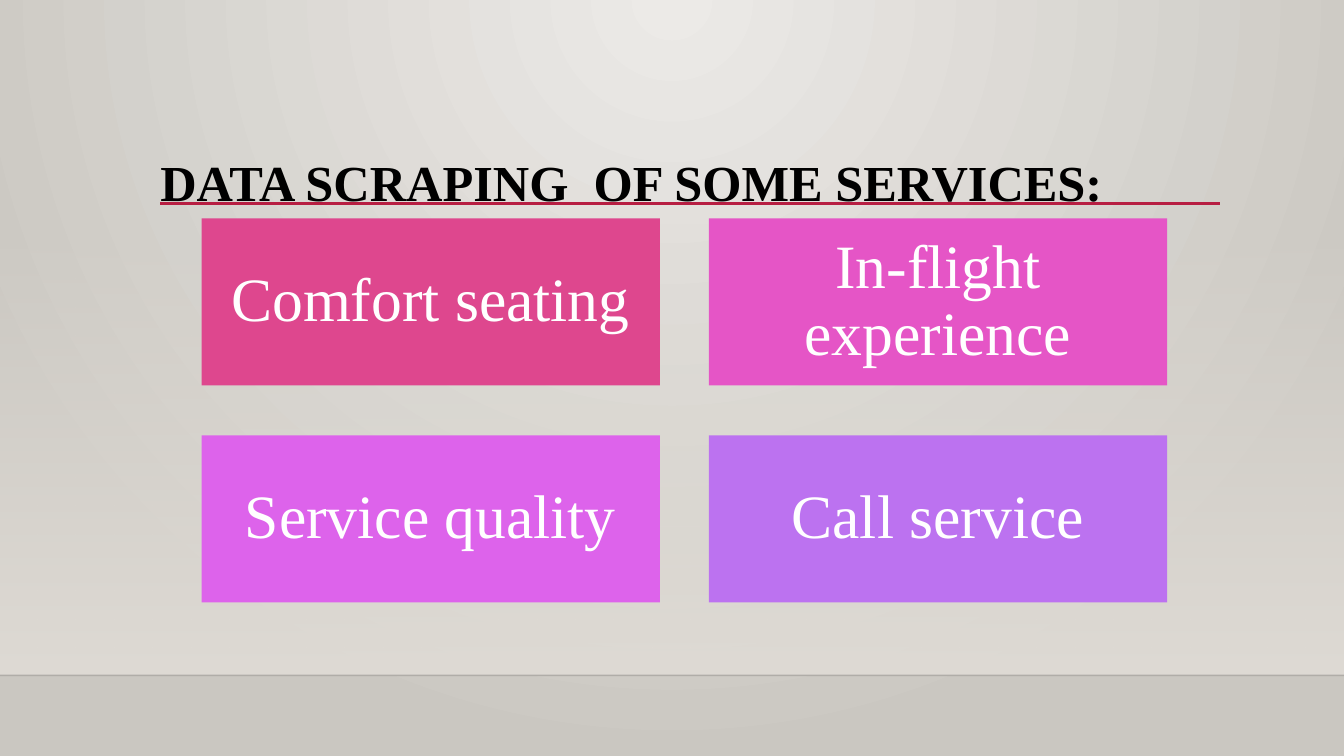
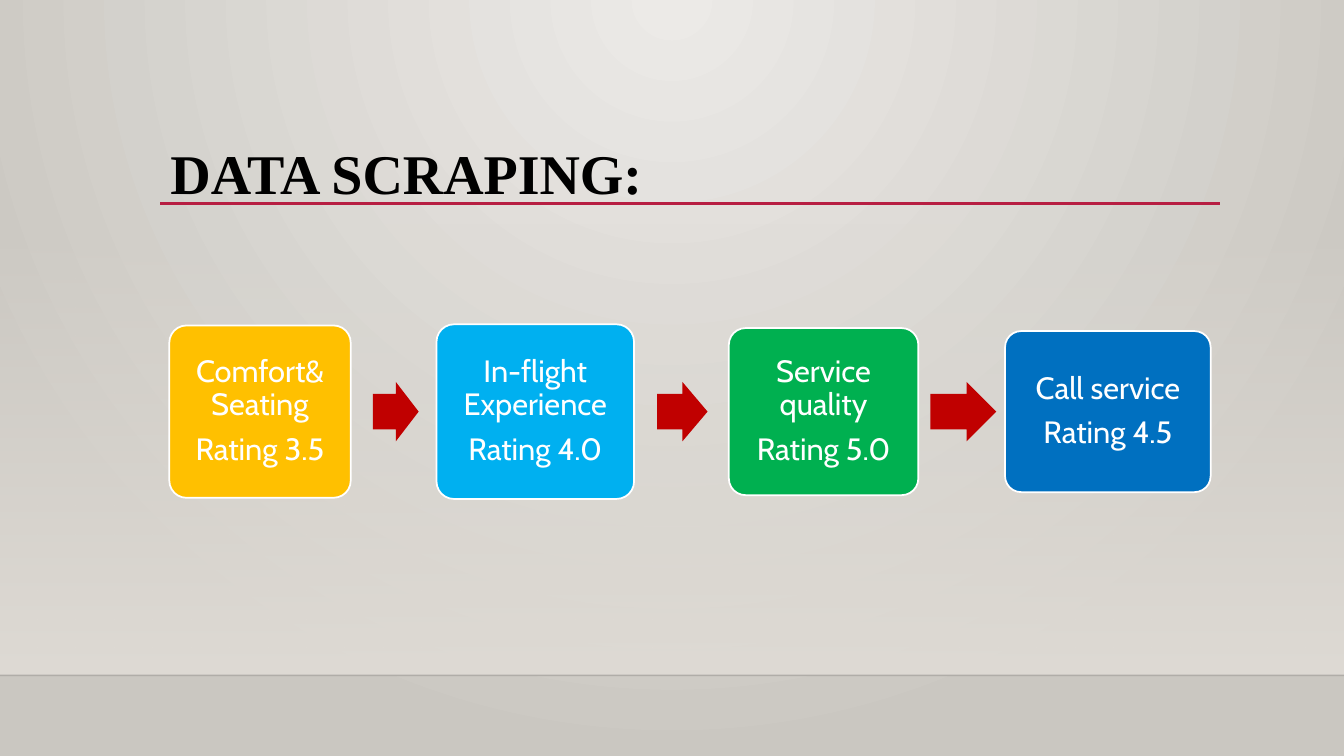
from pptx import Presentation
from pptx.dml.color import RGBColor
from pptx.enum.shapes import MSO_CONNECTOR, MSO_SHAPE
from pptx.enum.text import MSO_ANCHOR, MSO_AUTO_SIZE, PP_ALIGN
from pptx.oxml import parse_xml
from pptx.oxml.ns import nsdecls, qn
from pptx.oxml.xmlchemy import OxmlElement
from pptx.util import Inches, Pt

WIDE, HIGH = Inches(13.333), Inches(7.5)

BLACK = RGBColor(0x00, 0x00, 0x00)
WHITE = RGBColor(0xFF, 0xFF, 0xFF)
GLOW = RGBColor(0xEC, 0xEA, 0xE7)
EDGE = RGBColor(0xCA, 0xC7, 0xC1)
SAND = RGBColor(0xDF, 0xDB, 0xD5)
RULE = RGBColor(0xB7, 0x1E, 0x42)
ROSE = RGBColor(0xDE, 0x47, 0x8E)
PINK = RGBColor(0xE5, 0x55, 0xC6)
ORCHID = RGBColor(0xDD, 0x63, 0xEB)
VIOLET = RGBColor(0xBC, 0x72, 0xF0)
AMBER = RGBColor(0xFF, 0xC0, 0x00)
SKY = RGBColor(0x00, 0xB0, 0xF0)
GREEN = RGBColor(0x00, 0xB0, 0x50)
BLUE = RGBColor(0x00, 0x70, 0xC0)
RED = RGBColor(0xC0, 0x00, 0x00)

SERIF, SANS = "Times New Roman", "Cabin"
FLOOR = 89.33
MID = 54.45

TITLE_FONT = {"name": SERIF, "bold": True}
TITLE_FRAME = {"word_wrap": True, "auto_size": MSO_AUTO_SIZE.NONE,
               "vertical_anchor": MSO_ANCHOR.TOP}
TITLE_PARA = {"alignment": PP_ALIGN.LEFT, "line_spacing": 0.9}
CARD_FRAME = {"word_wrap": True, "vertical_anchor": MSO_ANCHOR.MIDDLE}
CARD_PARA = {"alignment": PP_ALIGN.CENTER, "line_spacing": 0.9}

TILES = [("Comfort seating", ROSE), ("In-flight experience", PINK),
         ("Service quality", ORCHID), ("Call service", VIOLET)]
STEPS = [("Comfort& Seating", "Rating 3.5", AMBER, 12.6, 13.5, 22.8),
         ("In-flight Experience", "Rating 4.0", SKY, 32.48, 14.7, 23.1),
         ("Service quality", "Rating 5.0", GREEN, 54.23, 14.1, 22.1),
         ("Call service", "Rating 4.5", BLUE, 74.78, 15.3, 21.3)]
ARROWS = [(27.75, 3.4), (48.9, 3.75), (69.23, 4.9)]


def across(share):
    return round(WIDE * share / 100)


def down(share):
    return round(HIGH * share / 100)


def place(x, y, w, h):
    return across(x), down(y), across(w), down(h)


def style(item, values):
    for name, value in values.items():
        setattr(item, name, value)


def fade(stops, course):
    marks = "".join(
        f'<a:gs pos="{pos * 1000}"><a:srgbClr val="{tone}">'
        f'<a:alpha val="{alpha * 1000}"/></a:srgbClr></a:gs>'
        for pos, tone, alpha in stops)
    return parse_xml(f'<a:gradFill {nsdecls("a")} rotWithShape="1">'
                     f'<a:gsLst>{marks}</a:gsLst>{course}</a:gradFill>')


def swap(root, new):
    old = root.find(qn("a:solidFill"))
    root.replace(old, new)


def add_block(slide, kind, box, fill, edge=None, adjust=()):
    block = slide.shapes.add_shape(kind, *box)
    block.shadow.inherit = False
    block.fill.solid()
    block.fill.fore_color.rgb = fill
    if edge is None:
        block.line.fill.background()
    else:
        block.line.color.rgb = edge
        block.line.width = Pt(1.25)
    for i, value in enumerate(adjust):
        block.adjustments[i] = value
    return block


def add_line(slide, left, right, y, tone, width):
    line = slide.shapes.add_connector(
        MSO_CONNECTOR.STRAIGHT, across(left), down(y), across(right), down(y))
    line.line.color.rgb = tone
    line.line.width = Pt(width)
    line.element.spPr.append(OxmlElement("a:effectLst"))
    return line


def write(block, lines, face, size, inset, gap=0):
    frame = block.text_frame
    sides = ("left", "top", "right", "bottom")
    style(frame, CARD_FRAME | {f"margin_{s}": Inches(inset) for s in sides})
    frame.text = "\n".join(lines)
    for para in frame.paragraphs:
        style(para, CARD_PARA | {"space_after": Pt(gap)})
        style(para.font, {"name": face, "size": Pt(size)})
        para.font.color.rgb = WHITE


def set_theme(deck, slide):
    master = deck.slide_master
    master.background.fill.solid()
    swap(master.element.find(".//" + qn("p:bgPr")), fade(
        [(0, GLOW, 100), (100, EDGE, 100)],
        '<a:path path="circle"><a:fillToRect l="43000" t="0" '
        'r="43000" b="100000"/></a:path>'))
    top = 29.47
    wall = add_block(slide, MSO_SHAPE.RECTANGLE,
                     place(0, top, 100, FLOOR - top), SAND)
    swap(wall.element.spPr, fade([(0, SAND, 0), (100, SAND, 100)],
                                 '<a:lin ang="5400000" scaled="0"/>'))
    base = add_line(slide, 0, 100, FLOOR, BLACK, 1)
    tone = base.element.spPr.find(".//" + qn("a:srgbClr"))
    alpha = OxmlElement("a:alpha")
    alpha.set("val", "20000")
    tone.append(alpha)
    rule = add_line(slide, 11.93, 90.75, 26.93, RULE, 2.5)
    for part in (wall, base, rule):
        master.shapes.element.append(part.element)


def add_title(slide, text, x, y, size):
    title = slide.shapes.title
    title.left, title.top, title.width, title.height = place(x, y, 78.75, 15.33)
    frame = title.text_frame
    frame.text = text
    style(frame, TITLE_FRAME)
    para = frame.paragraphs[0]
    style(para, TITLE_PARA)
    style(para.font, TITLE_FONT | {"size": Pt(size)})
    para.font.color.rgb = BLACK


def add_tiles(slide):
    for i, (text, fill) in enumerate(TILES):
        row, col = divmod(i, 2)
        box = place(15 + 37.75 * col, 28.9 + 28.7 * row, 34.1, 22.1)
        tile = add_block(slide, MSO_SHAPE.RECTANGLE, box, fill)
        write(tile, [text], SERIF, 44, 0.18)


def add_steps(slide):
    for name, score, fill, x, w, h in STEPS:
        step = add_block(slide, MSO_SHAPE.ROUNDED_RECTANGLE,
                         place(x, MID - h / 2, w, h), fill, WHITE, [0.1])
        write(step, [name, score], SANS, 22, 0.09, 8)
    tall = 7.87
    for x, w in ARROWS:
        add_block(slide, MSO_SHAPE.RIGHT_ARROW,
                  place(x, MID - tall / 2, w, tall), RED, adjust=[0.6, 0.5])


def main():
    deck = Presentation()
    style(deck, {"slide_width": WIDE, "slide_height": HIGH})
    first, second = [deck.slides.add_slide(deck.slide_layouts[5])
                     for _ in range(2)]
    set_theme(deck, first)
    add_title(first, "DATA SCRAPING  OF SOME SERVICES:", 11.18, 20.27, 36)
    add_tiles(first)
    add_title(second, "DATA SCRAPING:", 11.93, 18.67, 40)
    add_steps(second)
    deck.save("out.pptx")


if __name__ == "__main__":
    main()
